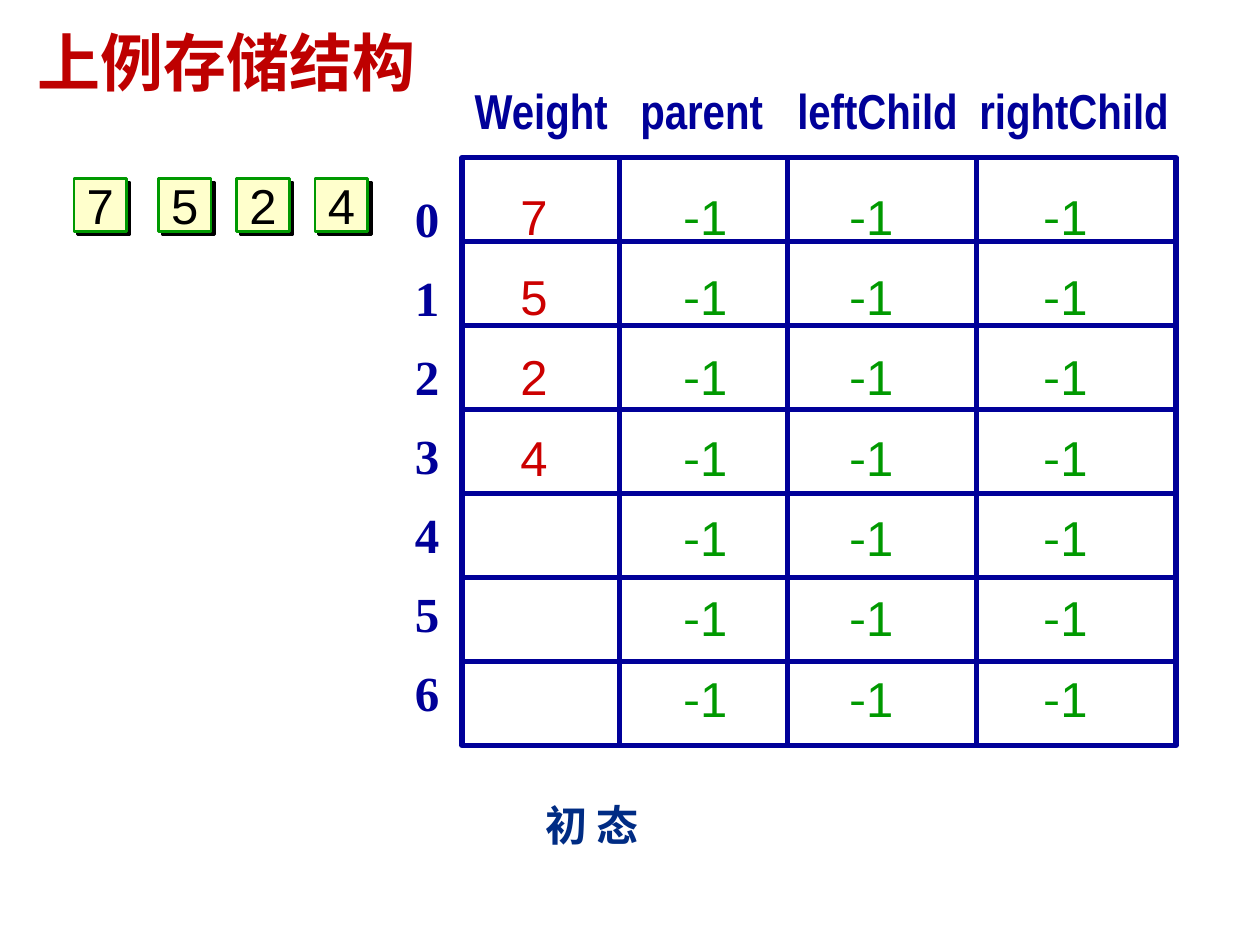
from dataclasses import dataclass
from itertools import accumulate

from lxml.etree import SubElement
from pptx import Presentation
from pptx.dml.color import RGBColor
from pptx.enum.shapes import MSO_CONNECTOR as CONNECTOR, MSO_SHAPE as SHAPE
from pptx.enum.text import MSO_ANCHOR as ANCHOR, MSO_AUTO_SIZE as AUTO, PP_ALIGN as ALIGN
from pptx.oxml.ns import qn
from pptx.util import Pt

NAVY, RED, GREEN, BLACK = "000099", "CC0000", "009900", "000000"


@dataclass
class Box:
    left: float
    top: float
    width: float
    height: float

    def lengths(self) -> list[Pt]:
        return [Pt(v) for v in (self.left, self.top, self.width, self.height)]


@dataclass
class Style:
    size: float
    name: str
    color: str
    bold: bool = False


WEIGHTS = ["7", "5", "2", "4"]
SQUARE_LEFTS = [42.2, 90.5, 135.2, 180]
ROWS, ROW_HEIGHT = 7, 48
COLUMN_WIDTHS = [90, 96, 108, 114]
GRID = Box(264, 90, sum(COLUMN_WIDTHS), ROWS * ROW_HEIGHT)
HEADINGS = ["Weight", "parent", "leftChild", "rightChild"]
HEADING_TABS = [94.6, 184.3, 288.3]
LINK_TABS = [105.7, 200.5, 311.6]

HEADING = Style(28, "Arial Narrow", NAVY, True)
INDEX = Style(28, "Times New Roman", NAVY, True)
TITLE = Style(36, "Times New Roman", "BE0000", True)
CAPTION = Style(24, "Times New Roman", "002C84", True)
SQUARE = Style(28, "Arial", BLACK)
WEIGHT = Style(28, "Arial", RED)
LINK = Style(28, "Arial", GREEN)
MINUS = Style(28, "Noto Sans CJK SC", GREEN)


def rgb(color: str) -> RGBColor:
    return RGBColor.from_string(color)


def add_run(p, text: str, style: Style) -> None:
    r = p.add_run()
    r.text = text
    values = dict(size=Pt(style.size), name=style.name, bold=style.bold)
    for key, value in values.items():
        setattr(r.font, key, value)
    r.font.color.rgb = rgb(style.color)


def add_paragraph(tf, first: bool, align=ALIGN.LEFT):
    p = tf.paragraphs[0] if first else tf.add_paragraph()
    p.alignment = align
    return p


def set_tabs(p, stops: list[float], align: str) -> None:
    tabs = SubElement(p._p.get_or_add_pPr(), qn("a:tabLst"))
    for stop in stops:
        SubElement(tabs, qn("a:tab"), pos=str(Pt(stop)), algn=align)


def set_frame(tf, anchor=ANCHOR.TOP, side: float = 7.2, top: float = 3.6) -> None:
    tf.word_wrap, tf.auto_size, tf.vertical_anchor = False, AUTO.NONE, anchor
    tf.margin_left = tf.margin_right = Pt(side)
    tf.margin_top = tf.margin_bottom = Pt(top)


def add_text_frame(s, box: Box, **frame):
    tf = s.shapes.add_textbox(*box.lengths()).text_frame
    set_frame(tf, **frame)
    return tf


def add_weight_square(s, left: float, weight: str) -> None:
    sp = s.shapes.add_shape(SHAPE.RECTANGLE, *Box(left, 102, 30.2, 30.2).lengths())
    sp.fill.solid()
    sp.fill.fore_color.rgb = rgb("FFFFCC")
    sp.line.color.rgb = rgb(GREEN)
    sp.line.width = Pt(1.5)
    sp.shadow.inherit = False
    effects = sp._element.spPr.find(qn("a:effectLst"))
    shadow = SubElement(effects, qn("a:outerShdw"), blurRad="0",
                        dist=str(Pt(2.8)), dir="2700000", algn="ctr", rotWithShape="0")
    SubElement(shadow, qn("a:srgbClr"), val=BLACK)
    set_frame(sp.text_frame, ANCHOR.MIDDLE, 0, 0)
    add_run(add_paragraph(sp.text_frame, True, ALIGN.CENTER), weight, SQUARE)


def set_grid_line(line) -> None:
    line.color.rgb = rgb(NAVY)
    line.width = Pt(3)


def add_rule(s, x1: float, y1: float, x2: float, y2: float) -> None:
    ends = [Pt(v) for v in (x1, y1, x2, y2)]
    rule = s.shapes.add_connector(CONNECTOR.STRAIGHT, *ends)
    set_grid_line(rule.line)
    SubElement(rule._element.spPr, qn("a:effectLst"))


def add_grid(s) -> None:
    frame = s.shapes.add_shape(SHAPE.RECTANGLE, *GRID.lengths())
    frame.fill.background()
    set_grid_line(frame.line)
    frame.shadow.inherit = False
    right, bottom = GRID.left + GRID.width, GRID.top + GRID.height
    for offset in accumulate(COLUMN_WIDTHS[:-1]):
        add_rule(s, GRID.left + offset, GRID.top, GRID.left + offset, bottom)
    for row in range(1, ROWS):
        y = GRID.top + row * ROW_HEIGHT
        add_rule(s, GRID.left, y, right, y)


def add_headings(s) -> None:
    tf = add_text_frame(s, Box(264.2, 42.6, 411.8, 41), anchor=ANCHOR.MIDDLE)
    p = add_paragraph(tf, True)
    set_tabs(p, HEADING_TABS, "l")
    add_run(p, "\t".join(HEADINGS), HEADING)


def add_values(s) -> None:
    tf = add_text_frame(s, Box(290.2, 89.3, 351.4, 330.5), top=4.9)
    for row in range(ROWS):
        p = add_paragraph(tf, row == 0)
        set_tabs(p, LINK_TABS, "ctr")
        p.line_spacing = Pt(45.9)
        if row < len(WEIGHTS):
            add_run(p, WEIGHTS[row], WEIGHT)
        for _ in LINK_TABS:
            add_run(p, "\t", LINK)
            add_run(p, "-", MINUS)
            add_run(p, "1", LINK)


def add_indexes(s) -> None:
    tf = add_text_frame(s, Box(229.7, 96.2, 28.8, 324.7), side=0, top=0)
    for row in range(ROWS):
        p = add_paragraph(tf, row == 0, ALIGN.CENTER)
        p.line_spacing = Pt(45.14)
        add_run(p, str(row), INDEX)


def add_title(s, text: str) -> None:
    sp = s.shapes.title
    sp.left, sp.top, sp.width, sp.height = Box(14.4, 10.1, 231, 50.4).lengths()
    set_frame(sp.text_frame)
    add_run(add_paragraph(sp.text_frame, True), text, TITLE)


def add_caption(s, text: str) -> None:
    tf = add_text_frame(s, Box(304.4, 453.6, 68.4, 36))
    add_run(add_paragraph(tf, True), text, CAPTION)


def main() -> None:
    prs = Presentation()
    prs.slide_width, prs.slide_height = Pt(720), Pt(540)
    s = prs.slides.add_slide(prs.slide_layouts[5])
    add_title(s, "上例存储结构")
    for left, weight in zip(SQUARE_LEFTS, WEIGHTS):
        add_weight_square(s, left, weight)
    add_grid(s)
    add_headings(s)
    add_values(s)
    add_indexes(s)
    add_caption(s, "初 态")
    prs.save("out.pptx")


if __name__ == "__main__":
    main()
